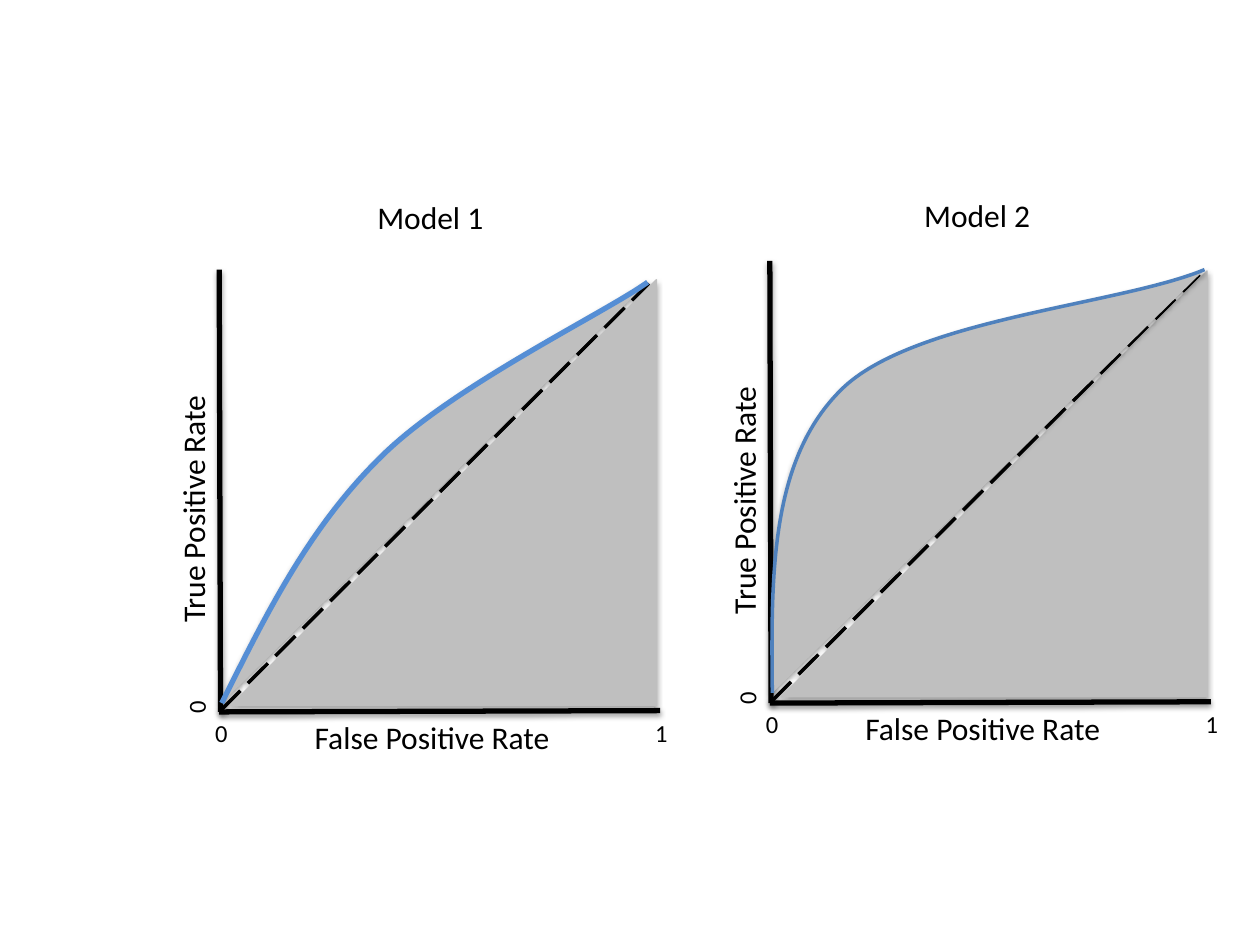
import math
import pptx
import pptx.dml.color
import pptx.enum.dml
import pptx.enum.shapes
import pptx.enum.text
import pptx.oxml
import pptx.oxml.ns
import pptx.util


class Theme:
    font = "Calibri"
    ink = "000000"
    area = "BFBFBF"
    label = 18
    tick = 14


deck = pptx.Presentation()
deck.slide_width = pptx.util.Inches(10)
deck.slide_height = pptx.util.Inches(7.5)
slide = deck.slides.add_slide(deck.slide_layouts[6])

# Grid of 100 columns by 75 rows
col = deck.slide_width / 100
row = deck.slide_height / 75
qn = pptx.oxml.ns.qn


def style(shape, color, width, fill=None, alpha=38, dist=20000):
    shape.line.color.rgb = pptx.dml.color.RGBColor.from_string(color)
    shape.line.width = pptx.util.Pt(width)
    if fill:
        shape.fill.solid()
        shape.fill.fore_color.rgb = pptx.dml.color.RGBColor.from_string(fill)
    shade = pptx.oxml.parse_xml(
        '<a:effectLst xmlns:a="http://schemas.openxmlformats.org/drawingml/2006/main">'
        f'<a:outerShdw blurRad="40000" dist="{dist}" dir="5400000" rotWithShape="0">'
        f'<a:srgbClr val="{Theme.ink}"><a:alpha val="{alpha * 1000}"/></a:srgbClr>'
        '</a:outerShdw></a:effectLst>')
    shape._element.spPr.append(shade)


def write(home, words, box, size, turn=0, wrap=True, align="CENTER"):
    x, y, w, h = box
    text = home.add_textbox(round(x * col), round(y * row), round(w * col), round(h * row))
    text.rotation = turn
    frame = text.text_frame
    frame.word_wrap = wrap
    para = frame.paragraphs[0]
    para.alignment = getattr(pptx.enum.text.PP_ALIGN, align)
    run = para.add_run()
    run.text = words
    run.font.name = Theme.font
    run.font.size = pptx.util.Pt(size)
    run.font.color.rgb = pptx.dml.color.RGBColor.from_string(Theme.ink)
    return para


# Per model: offset, title place, curve points, curve color, width, curve on top
models = [
    ("Model 1", 0, 0, (28.9, 15.2),
     [(17.6, 55.8), (21.1, 48.8), (24.5, 41.9), (30.2, 36.3),
      (35.8, 30.7), (47.9, 24.9), (51.4, 22.4)], "558ED5", 3, False),
    ("Model 2", 43.7, -0.7, (72.3, 15.1),
     [(61.3, 55), (61.2, 45.7), (61.1, 36.5), (66.8, 30.9),
      (72.5, 25.3), (88.9, 24.2), (95.6, 21.4)], "4F81BD", 2, True),
]
straight = pptx.enum.shapes.MSO_CONNECTOR.STRAIGHT

for name, dx, dy, spot, points, hue, width, top in models:
    # Axes
    axes = slide.shapes.add_group_shape()
    for x1, y1, x2, y2 in [(17.4, 56.5, 52.4, 56.4), (17.4, 21.4, 17.5, 56.5)]:
        axis = axes.shapes.add_connector(
            straight, round((x1 + dx) * col), round((y1 + dy) * row),
            round((x2 + dx) * col), round((y2 + dy) * row))
        style(axis, Theme.ink, 3)

    # Axis labels and ticks
    write(axes.shapes, "False Positive Rate", (22 + dx, 56.5 + dy, 24.6, 4), Theme.label)
    write(axes.shapes, "True Positive Rate", (3 + dx, 38.4 + dy, 24.6, 4), Theme.label, 270)
    ticks = write(axes.shapes, "0\t1", (16.1 + dx, 56.5 + dy, 38.9, 3.4),
                  Theme.tick, align="LEFT")
    ticks._p.get_or_add_pPr().append(pptx.oxml.parse_xml(
        '<a:tabLst xmlns:a="http://schemas.openxmlformats.org/drawingml/2006/main">'
        f'<a:tab pos="{round(34.9 * col)}" algn="l"/></a:tabLst>'))
    write(axes.shapes, "0", (-3.3 + dx, 37 + dy, 37.8, 3.4), Theme.tick, 270, align="LEFT")

    # Chance line
    chance = slide.shapes.add_connector(
        straight, round((17.5 + dx) * col), round((56.4 + dy) * row),
        round((51.5 + dx) * col), round((22.5 + dy) * row))
    chance.line.dash_style = pptx.enum.dml.MSO_LINE.LONG_DASH
    style(chance, Theme.ink, 2)

    # Area under the curve, in stacking order
    for part in ("half", "curve") if top else ("curve", "half"):
        if part == "half":
            half = slide.shapes.add_shape(
                pptx.enum.shapes.MSO_SHAPE.RIGHT_TRIANGLE,
                round((18.3 + dx) * col), round((22.2 + dy) * row),
                round(33.8 * col), round(33.8 * row))
            half._element.spPr.get_or_add_xfrm().set("flipH", "1")
            style(half, Theme.area, 0.75, Theme.area, 35, 23000)
            continue
        spots = [(round(x * col), round(y * row)) for x, y in points]
        pen = slide.shapes.build_freeform(*spots[0])
        pen.add_line_segments(spots[1:], close=False)
        curve = pen.convert_to_shape()
        # Every three segments become one Bezier segment
        steps = list(curve._element.iter(qn("a:lnTo")))
        for k in range(0, len(steps), 3):
            bend = pptx.oxml.parse_xml(
                '<a:cubicBezTo xmlns:a='
                '"http://schemas.openxmlformats.org/drawingml/2006/main"/>')
            steps[k].addprevious(bend)
            for step in steps[k:k + 3]:
                bend.append(step[0])
                step.getparent().remove(step)
        style(curve, hue, width, Theme.area)

    # Title
    write(slide.shapes, name, (*spot, 10.5, 4), Theme.label, wrap=False)

deck.save("out.pptx")
